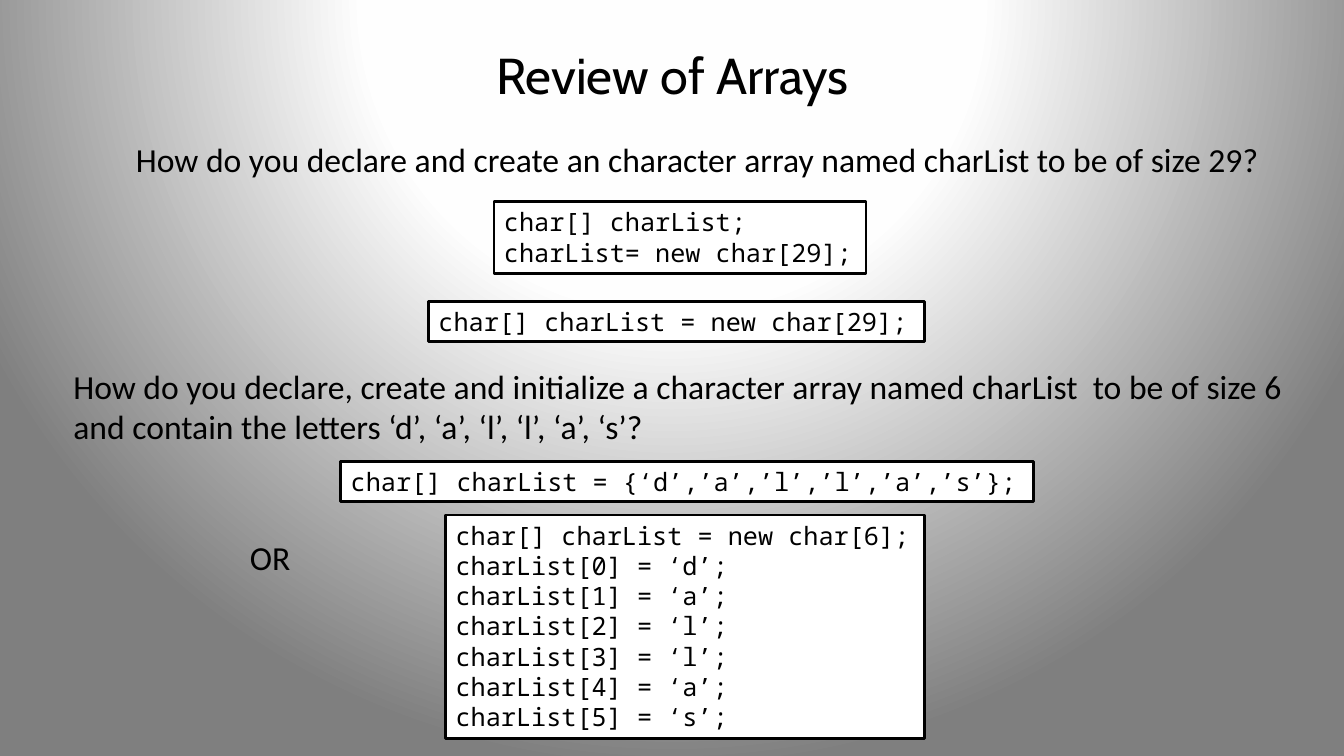
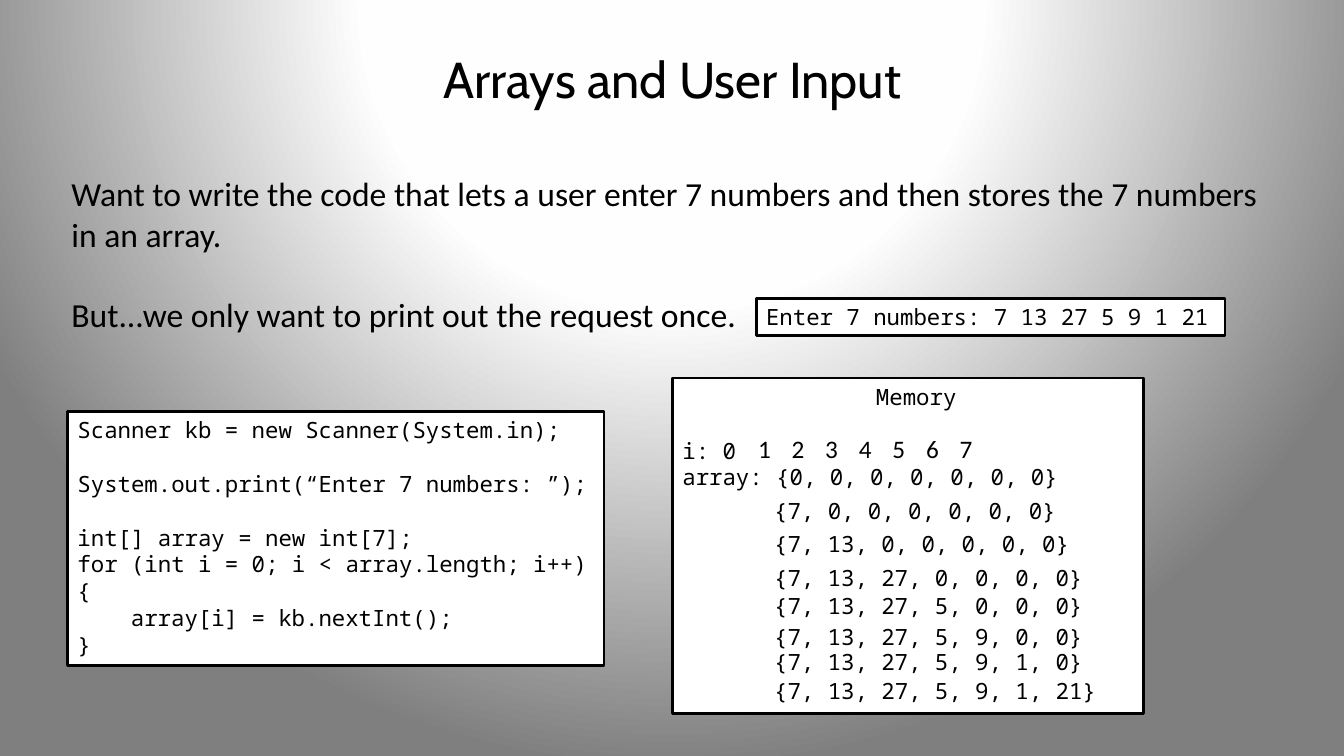
from dataclasses import dataclass
from typing import NamedTuple

from pptx import Presentation
from pptx.dml.color import RGBColor
from pptx.enum.shapes import MSO_SHAPE
from pptx.enum.text import MSO_ANCHOR, MSO_AUTO_SIZE, PP_ALIGN
from pptx.oxml import parse_xml
from pptx.util import Inches, Pt

RECTANGLE = MSO_SHAPE.RECTANGLE
TOP, MIDDLE = MSO_ANCHOR.TOP, MSO_ANCHOR.MIDDLE
GROW, FIXED = MSO_AUTO_SIZE.SHAPE_TO_FIT_TEXT, MSO_AUTO_SIZE.NONE
LEFT, CENTER = PP_ALIGN.LEFT, PP_ALIGN.CENTER


@dataclass(frozen=True)
class Theme:
    ink: RGBColor = RGBColor(0, 0, 0)
    paper: RGBColor = RGBColor(255, 255, 255)
    gradient: tuple = ((0, "FFFFFF"), (40, "FEFEFE"), (100, "7F7F7F"))
    title_font: str = "Cabin"
    body_font: str = "Calibri"
    code_font: str = "Noto Sans Mono"
    title_size: int = 36
    body_size: int = 24
    code_size: int = 18
    small_code_size: int = 16
    line_height: float = 1.2
    border: int = 2


class Line(NamedTuple):
    text: str
    gap: int = 0  # empty lines above
    indent: float = 0  # inches


THEME = Theme()


def add_text(slide, lines, left, top, width, height, font, size, boxed=False, grow=True):
    """Add lines of text, in a bordered white box when boxed is set."""
    area = Inches(left), Inches(top), Inches(width), Inches(height)
    if boxed:
        shape = slide.shapes.add_shape(RECTANGLE, *area)
        shape.shadow.inherit = False
        shape.fill.solid()
        shape.fill.fore_color.rgb = THEME.paper
        shape.line.color.rgb = THEME.ink
        shape.line.width = Pt(THEME.border)
    else:
        shape = slide.shapes.add_textbox(*area)
    frame = shape.text_frame
    frame.word_wrap = not grow
    frame.auto_size = GROW if grow else FIXED
    frame.vertical_anchor = TOP
    for index, line in enumerate(lines):
        line = line if isinstance(line, Line) else Line(line)
        paragraph = frame.paragraphs[0] if index == 0 else frame.add_paragraph()
        paragraph.text = line.text
        paragraph.alignment = LEFT
        paragraph.font.name = font
        paragraph.font.size = Pt(size)
        paragraph.font.color.rgb = THEME.ink
        if line.gap:
            paragraph.space_before = Pt(line.gap * size * THEME.line_height)
        if line.indent:
            paragraph._p.get_or_add_pPr().set("marL", str(Inches(line.indent)))
    return shape


def add_titled_slide(presentation, title, height):
    slide = presentation.slides.add_slide(presentation.slide_layouts[6])
    shape = add_text(slide, [title], 0.67, 0.3, 12, height,
                     THEME.title_font, THEME.title_size, grow=False)
    shape.text_frame.vertical_anchor = MIDDLE
    shape.text_frame.paragraphs[0].alignment = CENTER
    return slide


presentation = Presentation()
presentation.slide_width = Inches(13.33)
presentation.slide_height = Inches(7.5)

# Shared background: a circular gradient on the master
master = presentation.slide_master
master.background.fill.solid()
background = master.element.xpath("p:cSld/p:bg/p:bgPr")[0]
stops = "".join(
    f'<a:gs pos="{position * 1000}"><a:srgbClr val="{color}"/></a:gs>'
    for position, color in THEME.gradient)
background.replace(background[0], parse_xml(
    '<a:gradFill xmlns:a="http://schemas.openxmlformats.org/drawingml/2006/main"'
    f' rotWithShape="1"><a:gsLst>{stops}</a:gsLst><a:path path="circle">'
    '<a:fillToRect l="50000" t="-80000" r="50000" b="180000"/></a:path></a:gradFill>'))

# Slide 1: questions and their answers in code
slide = add_titled_slide(presentation, "Review of Arrays", 0.87)
questions = [
    (["How do you declare and create an character array named charList to be of size 29?"],
     1.25, 1.33, 11.43, 0.5),
    (["How do you declare, create and initialize a character array named charList  to be of size 6",
      "and contain the letters ‘d’, ‘a’, ‘l’, ‘l’, ‘a’, ‘s’?"],
     0.63, 3.58, 12.37, 0.91),
    (["OR"], 2.38, 5.28, 0.61, 0.5),
]
for question in questions:
    add_text(slide, *question, THEME.body_font, THEME.body_size)

assignments = [f"charList[{index}] = ‘{letter}’;" for index, letter in enumerate("dallas")]
answers = [
    (["char[] charList;", "charList= new char[29];"], 4.9, 2, 3.69, 0.71),
    (["char[] charList = new char[29];"], 4.25, 2.99, 4.92, 0.4),
    (["char[] charList = {‘d’,’a’,’l’,’l’,’a’,’s’};"], 3.38, 4.58, 6.87, 0.4),
    (["char[] charList = new char[6];", *assignments], 4.42, 5.11, 4.75, 2.22),
]
for answer in answers:
    add_text(slide, *answer, THEME.code_font, THEME.code_size, boxed=True)

# Slide 2: task, program and sample input
slide = add_titled_slide(presentation, "Arrays and User Input", 0.95)
task = [
    "Want to write the code that lets a user enter 7 numbers and then stores the 7 numbers",
    "in an array.",
    Line("But...we only want to print out the request once.", gap=1),
]
add_text(slide, task, 0.61, 1.67, 12.14, 1.72, THEME.body_font, THEME.body_size)

program = [
    "Scanner kb = new Scanner(System.in);",
    Line("System.out.print(“Enter 7 numbers: ”);", gap=1),
    Line("int[] array = new int[7];", gap=1),
    "for (int i = 0; i < array.length; i++)",
    "{",
    Line("array[i] = kb.nextInt();", indent=0.53),
    "}",
]
small_code = THEME.code_font, THEME.small_code_size
numbers = [7, 13, 27, 5, 9, 1, 21]
sample = "Enter 7 numbers: " + " ".join(map(str, numbers))
add_text(slide, program, 0.67, 4.08, 5.32, 2.52, *small_code, boxed=True)
add_text(slide, [sample], 7.5, 2.96, 4.65, 0.37, *small_code, boxed=True)

# Memory: the counter and the array after each number is read
memory = [
    Line("Memory", indent=1.92),
    Line("i: 0", gap=1),
    "array: {0, 0, 0, 0, 0, 0, 0}",
]
add_text(slide, memory, 6.67, 3.75, 4.67, 3.33, *small_code, boxed=True, grow=False)
row_tops = [4.88, 5.21, 5.55, 5.83, 6.13, 6.38, 6.67]
character_width = 0.6 * THEME.small_code_size / 72
for count, row_top in enumerate(row_tops, start=1):
    values = numbers[:count] + [0] * (len(numbers) - count)
    contents = "{" + ", ".join(map(str, values)) + "}"
    row_width = 0.25 + character_width * len(contents)
    add_text(slide, [contents], 7.58, row_top, row_width, 0.37, *small_code)
    add_text(slide, [str(count)], 7.42 + (count - 1) / 3, 4.25, 0.33, 0.4,
             THEME.body_font, THEME.code_size)

presentation.save("out.pptx")
